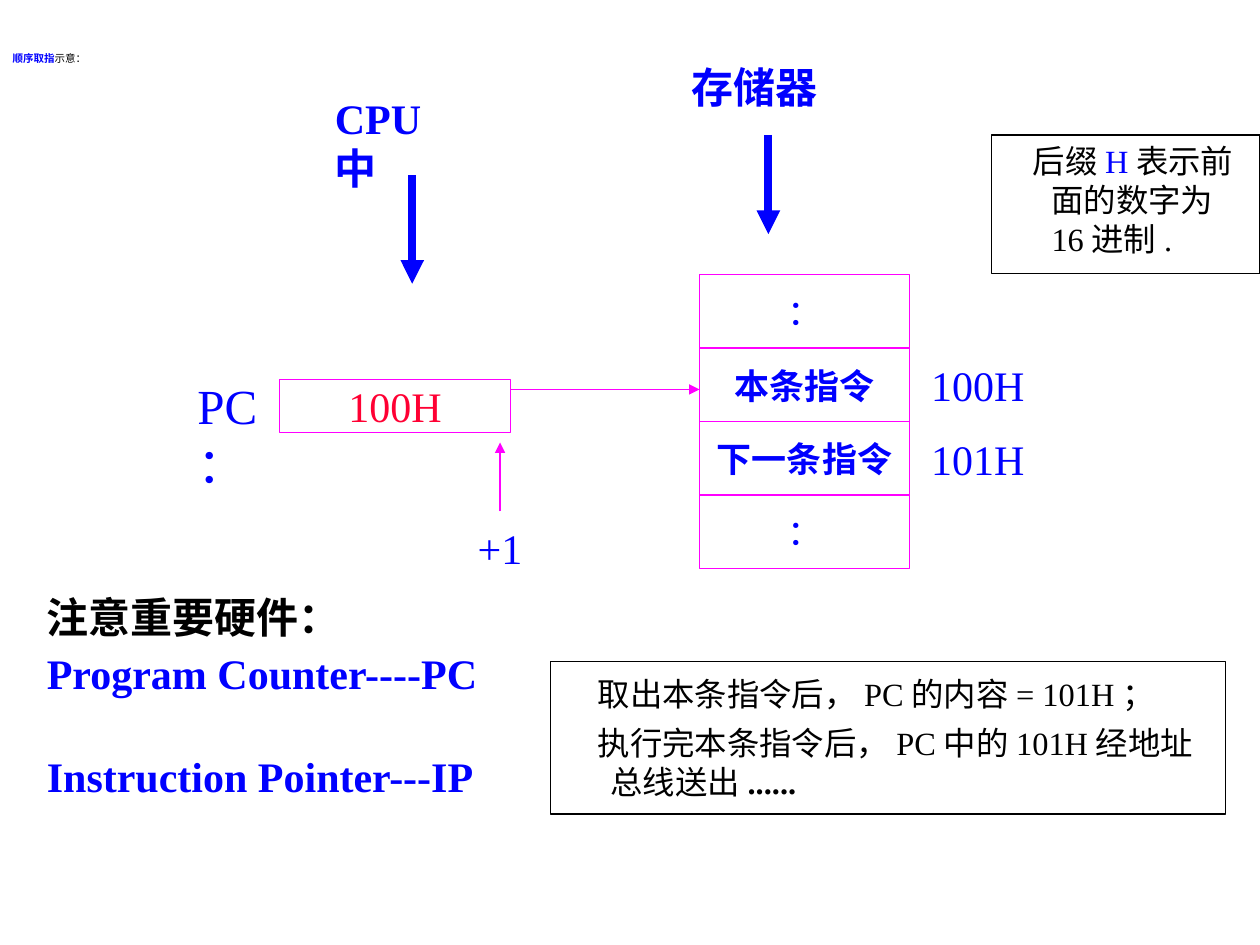
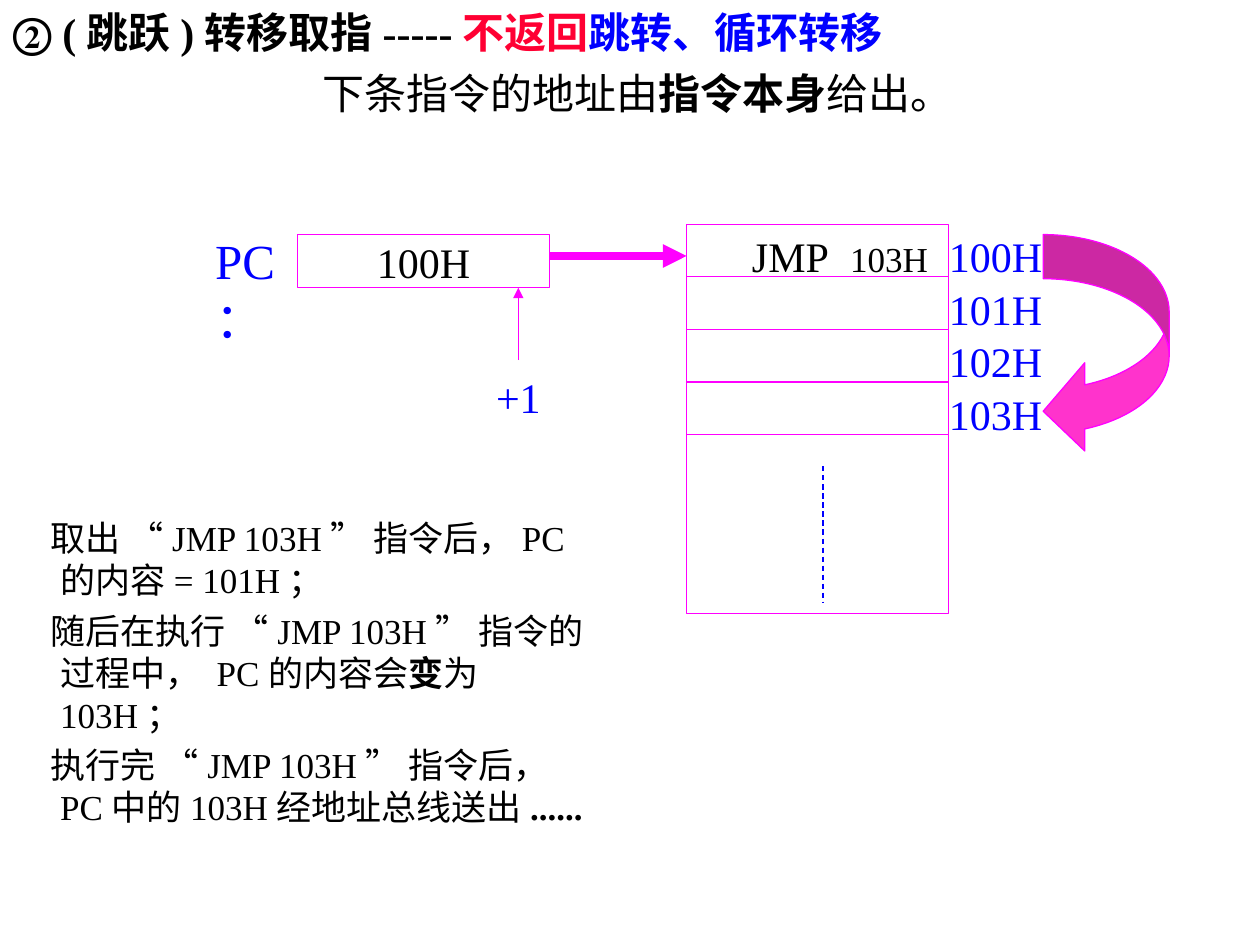
from lxml.etree import SubElement
from pptx import Presentation
from pptx.dml.color import RGBColor
from pptx.enum.dml import MSO_LINE
from pptx.enum.shapes import MSO_CONNECTOR, MSO_SHAPE
from pptx.enum.text import MSO_ANCHOR, MSO_AUTO_SIZE, PP_ALIGN
from pptx.oxml.ns import qn
from pptx.util import Cm, Pt

# ---- Shared look ----
HUE = {"ink": "000000", "blue": "0000FF", "red": "FF0033",
       "pink": "FF00FF", "rose": "FF33CC", "white": "FFFFFF"}
FONT = "Times New Roman"
BLUE = {"hue": "blue"}
BOLD = {"bold": True}

# ---- Content: a paragraph is a list of runs, a run is text or (text, format) ----
HEAD1 = [[("顺序取指", {"hue": "blue", "bold": True}), "示意："]]
CELLS = [("：", False), ("本条指令", True), ("下一条指令", True), ("：", False)]
ADDR1 = ["100H", "101H"]
# text, left, top, height, then arrow x, start, end
TAGS = [("CPU中", 6.5, 1.73, 2.29, 8.31, 3.53, 5.72),
        ("存储器", 13.69, 1.12, 1.27, 15.49, 2.72, 4.72)]
PARTS = [["注意重要硬件："],
         [("Program Counter----PC", BLUE)],
         [("Instruction Pointer---IP", BLUE)]]
AFTER = [["取出本条指令后，PC的内容= 101H；"],
         ["执行完本条指令后，PC中的101H经地址总线送出", ("......", BOLD)]]
BASE = [["后缀", ("H", BLUE), "表示前面的数字为16进制."]]

HEAD2 = [["② (跳跃)转移取指-----", ("不返回", {"hue": "red"}),
          ("跳转、循环转移", BLUE)],
         [("下条指令的地址由", {"bold": False}), "指令本身",
          ("给出。", {"bold": False})]]
ADDR2 = ["100H", "101H", "102H", "103H"]
JUMP = [["JMP", (" ", {"track": 6}), ("103H", {"size": 20})]]
STEPS = [["取出 “JMP 103H” 指令后，PC的内容= 101H；"],
         ["随后在执行 “JMP 103H” 指令的过程中， PC的内容会",
          ("变", BOLD), "为103H；"],
         ["执行完 “JMP 103H” 指令后，PC中的103H经地址总线送出",
          ("......", BOLD)]]


def rgb(hue):
    return RGBColor.from_string(HUE[hue])


def write(frame, text, size=24, hue="ink", bold=False, align=PP_ALIGN.LEFT,
          anchor=MSO_ANCHOR.TOP, wrap=True, gaps=(), line=None,
          hang=(0, 0), inset=0.13):
    """Fill a text frame; gaps are the spaces before the later paragraphs."""
    frame.auto_size = MSO_AUTO_SIZE.NONE
    frame.word_wrap = wrap
    frame.vertical_anchor = anchor
    frame.margin_top = Cm(inset)
    paras = [[text]] if isinstance(text, str) else text
    for num, runs in enumerate(paras):
        para = frame.paragraphs[0] if num == 0 else frame.add_paragraph()
        para.alignment = align
        para.space_before = Pt(gaps[num - 1] if num else 0)
        if line:
            para.line_spacing = line
        props = para._p.get_or_add_pPr()
        props.set("marL", str(Cm(hang[0])))
        props.set("indent", str(Cm(hang[1])))
        SubElement(props, qn("a:buNone"))
        for item in runs:
            words, own = (item, {}) if isinstance(item, str) else item
            run = para.add_run()
            run.text = words
            run.font.name = FONT
            run.font.size = Pt(own.get("size", size))
            run.font.bold = own.get("bold", bold)
            run.font.color.rgb = rgb(own.get("hue", hue))
            if "track" in own:
                run._r.get_or_add_rPr().set("spc", str(own["track"] * 100))


def place(shape, x, y, w, h):
    shape.left, shape.top, shape.width, shape.height = map(Cm, (x, y, w, h))
    return shape


def shape(slide, x, y, w, h, edge="pink", fill=None, kind=MSO_SHAPE.RECTANGLE):
    form = slide.shapes.add_shape(kind, *map(Cm, (x, y, w, h)))
    form.shadow.inherit = False
    if fill:
        form.fill.solid()
        form.fill.fore_color.rgb = rgb(fill)
    else:
        form.fill.background()
    form.line.color.rgb = rgb(edge)
    form.line.width = Pt(0.75)
    return form


def cell(slide, text, x, y, w, h, edge="pink", fill=None, **look):
    """Rectangle with one centred line of text."""
    form = shape(slide, x, y, w, h, edge, fill)
    write(form.text_frame, text, align=PP_ALIGN.CENTER,
          anchor=MSO_ANCHOR.MIDDLE, wrap=False, **look)
    return form


def label(slide, text, x, y, w, h, **look):
    area = slide.shapes.add_textbox(*map(Cm, (x, y, w, h)))
    write(area.text_frame, text, hue="blue", **look)


def link(slide, x1, y1, x2, y2, hue="pink", width=0.75, head=True):
    wire = slide.shapes.add_connector(MSO_CONNECTOR.STRAIGHT,
                                      *map(Cm, (x1, y1, x2, y2)))
    wire.line.color.rgb = rgb(hue)
    wire.line.width = Pt(width)
    if head:
        SubElement(wire.line._get_or_add_ln(), qn("a:tailEnd"), type="triangle")
    SubElement(wire._element.spPr, qn("a:effectLst"))
    return wire


def count(slide, x, y, w, hue, step):
    """PC register with its name and the +1 arrow below; step is x, start, end."""
    label(slide, "PC：", x - 1.91, y - 0.21, 2.54, 2.64, size=28)
    cell(slide, "100H", x, y, w, 1.07, fill="white", hue=hue)
    mid, low, top = step
    plus = cell(slide, "+1", mid - 0.8, low, 1.6, 1.47, edge="white", hue="blue")
    link(slide, mid, low, mid, top).begin_connect(plus, 0)


def start(deck, head, body):
    """New slide with its heading and its list placed by (left, top, width, height)."""
    slide = deck.slides.add_slide(deck.slide_layouts[1])
    place(slide.shapes.title, *head)
    return slide, place(slide.placeholders[1], *body).text_frame


def order(deck):
    """Slide 1: fetching in sequence."""
    slide, part = start(deck, (0, 0.91, 6.91, 1.4), (0.69, 11.91, 10.01, 4.34))
    write(slide.shapes.title.text_frame, HEAD1, size=6)
    write(part, PARTS, bold=True, line=0.9, gaps=(6, 33))

    # Memory column with its addresses
    x, y, w, h = 14.1, 5.54, 4.24, 1.48
    for row, text in enumerate(ADDR1, 1):
        cell(slide, text, x + w, y + row * h, 2.74, h, edge="white", hue="blue")
    for row, (text, bold) in enumerate(CELLS):
        cell(slide, text, x, y + row * h, w, h, size=20, hue="blue", bold=bold)

    # Register and its pointer
    count(slide, 5.64, 7.65, 4.65, "red", (10.08, 10.31, 8.92))
    link(slide, 10.29, 7.85, x, 7.85)

    # Names with thick arrows
    for text, left, top, high, mid, low, end in TAGS:
        label(slide, text, left, top, 3.2, high, bold=True)
        link(slide, mid, low, mid, end, "blue", 4.5)

    # Framed notes
    note = shape(slide, 11.1, 13.34, 13.61, 3.07, edge="ink")
    write(note.text_frame, AFTER, size=18.5, gaps=(6,), hang=(0.96, -0.26),
          inset=0.25)
    note = shape(slide, 19.99, 2.72, 5.41, 2.79, edge="ink")
    write(note.text_frame, BASE, size=18.5, hang=(0.96, -0.38))


def leap(deck):
    """Slide 2: fetching after a jump."""
    slide, steps = start(deck, (0, 0, 21.39, 2.72), (0, 10.13, 12.09, 7.01))
    title = slide.shapes.title.text_frame
    write(title, HEAD2, bold=True, gaps=(6,))
    title.paragraphs[1]._p.pPr.set("marL", str(Cm(6.25)))
    write(steps, STEPS, size=20, gaps=(5, 5), hang=(0.96, -0.19), inset=0.28)

    # Memory column with its addresses
    x, y, w, h = 13.84, 4.52, 5.28, 1.06
    for row, text in enumerate(ADDR2):
        cell(slide, text, 18.7, y + row * h, 2.74, 1.27, edge="white", hue="blue")
    jump = shape(slide, 14.91, y, 4.04, 1.27, edge="white")
    write(jump.text_frame, JUMP, wrap=False)
    for row in range(len(ADDR2)):
        shape(slide, x, y + row * h, w, h, fill="white" if row else None)
    shape(slide, x, y + len(ADDR2) * h, w, 3.61)
    rest = link(slide, 16.59, 9.4, 16.59, 12.14, "blue", head=False)
    rest.line.dash_style = MSO_LINE.DASH

    # Jump from the first address to the last
    bend = shape(slide, 21.03, 4.73, 2.54, 4.45, fill="rose",
                 kind=MSO_SHAPE.CURVED_LEFT_ARROW)
    for num, part in enumerate((0.35, 0.7, 0.33)):
        bend.adjustments[num] = part

    # Register and its pointer
    count(slide, 6, 4.73, 5.08, "ink", (10.45, 7.26, 5.8))
    link(slide, 11.08, 5.16, x, 5.16, width=4.5)


def main():
    deck = Presentation()
    deck.slide_width, deck.slide_height = Cm(25.4), Cm(19.05)
    order(deck)
    leap(deck)
    deck.save("out.pptx")


if __name__ == "__main__":
    main()
